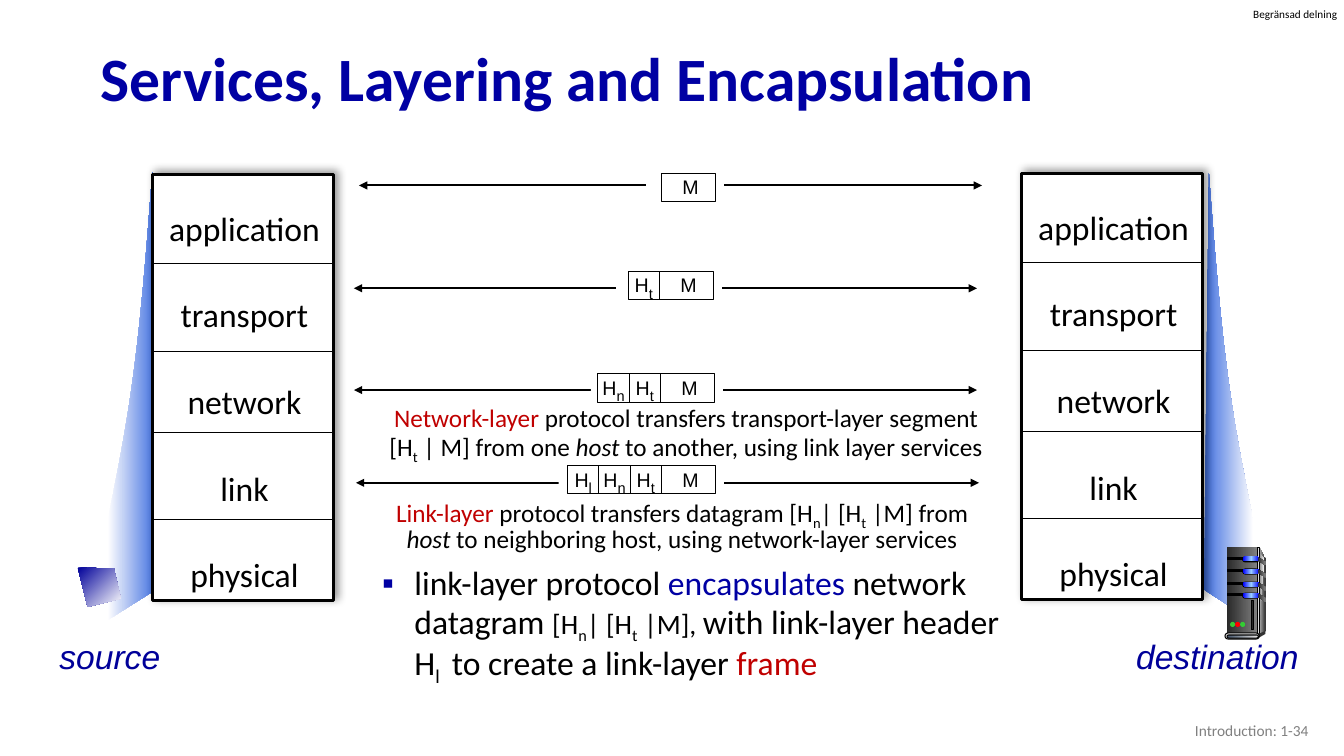
from lxml.etree import SubElement
from pptx import Presentation
from pptx.dml.color import RGBColor
from pptx.enum.shapes import MSO_CONNECTOR as Link, MSO_SHAPE as Preset
from pptx.enum.text import MSO_ANCHOR as Anchor, MSO_AUTO_SIZE as AutoSize, PP_ALIGN as Align
from pptx.oxml.ns import qn
from pptx.util import Inches, Pt

BLACK, WHITE, NAVY, INDIGO, RED = "000000", "FFFFFF", "0000A3", "000099", "C00000"
SUB = {"sub": True}


def color(value):
    return RGBColor.from_string(value)


def element(parent, tag, **attributes):
    return SubElement(parent, qn(tag), **attributes)


class SlideBuilder:
    def __init__(self, slide, font="Calibri", accent_font="Arial"):
        self.slide = slide
        self.shapes = slide.shapes
        self.font = font
        self.accent_font = accent_font

    def fill_text(self, frame, paragraphs, size, align=Align.LEFT, spacing=1.0, ink=BLACK,
                  font=None, anchor=Anchor.TOP, wrap=True, bullet=None, inset=None):
        frame.word_wrap = wrap
        frame.auto_size = AutoSize.NONE
        frame.vertical_anchor = anchor
        if inset is not None:
            frame.margin_left = frame.margin_right = Inches(inset)
            frame.margin_top = frame.margin_bottom = Inches(inset)
        for index, runs in enumerate(paragraphs):
            paragraph = frame.add_paragraph() if index else frame.paragraphs[0]
            if bullet:
                properties = paragraph._p.get_or_add_pPr()
                properties.set("marL", str(Inches(0.32)))
                properties.set("indent", str(Inches(-0.32)))
                element(element(properties, "a:buClr"), "a:srgbClr", val=NAVY)
                element(properties, "a:buChar", char=bullet)
            paragraph.alignment = align
            paragraph.line_spacing = spacing
            paragraph.space_before = Pt(0)
            for text, options in runs:
                run = paragraph.add_run()
                run.text = text
                run.font.name = font or self.font
                run.font.size = Pt(options.get("size", size))
                run.font.bold = options.get("bold", False)
                run.font.italic = options.get("italic", False)
                run.font.color.rgb = color(options.get("ink", ink))
                if options.get("sub"):
                    run._r.get_or_add_rPr().set("baseline", "-25000")

    def placeholder(self, index, left, top, width, height, runs, size, **style):
        holder = self.slide.placeholders[index]
        holder.left, holder.top = Inches(left), Inches(top)
        holder.width, holder.height = Inches(width), Inches(height)
        self.fill_text(holder.text_frame, [runs], size, **style)

    def text(self, left, top, width, height, paragraphs, size, **style):
        box = self.shapes.add_textbox(Inches(left), Inches(top), Inches(width), Inches(height))
        self.fill_text(box.text_frame, paragraphs, size, **style)

    def paint(self, shape, fill, line=None, angle=0):
        shape.shadow.inherit = False
        if isinstance(fill, str):
            shape.fill.solid()
            shape.fill.fore_color.rgb = color(fill)
        else:
            shape.fill.gradient()
            shape.fill.gradient_angle = (360 - angle) % 360
            stops = shape._element.spPr.find(".//" + qn("a:gsLst"))
            stops.clear()
            for index, shade in enumerate(fill):
                position = str(100000 * index // (len(fill) - 1))
                element(element(stops, "a:gs", pos=position), "a:srgbClr", val=shade)
        if line:
            shape.line.color.rgb = color(BLACK)
            shape.line.width = Pt(line)
        else:
            shape.line.fill.background()
        return shape

    def shape(self, left, top, width, height, fill, line=None, preset=Preset.RECTANGLE):
        shape = self.shapes.add_shape(preset, Inches(left), Inches(top), Inches(width), Inches(height))
        if preset == Preset.ROUNDED_RECTANGLE:
            shape.adjustments[0] = 0.5
        return self.paint(shape, fill, line)

    def outline(self, points, fill, angle=0):
        corners = [(Inches(x), Inches(y)) for x, y in points]
        builder = self.shapes.build_freeform(*corners[0])
        builder.add_line_segments(corners[1:], close=True)
        self.paint(builder.convert_to_shape(), fill, angle=angle)

    def line(self, x1, y1, x2, y2, width, arrows=False):
        link = self.shapes.add_connector(Link.STRAIGHT, Inches(x1), Inches(y1), Inches(x2), Inches(y2))
        link.line.color.rgb = color(BLACK)
        link.line.width = Pt(width)
        properties = link._element.spPr
        if arrows:
            for end in ("a:headEnd", "a:tailEnd"):
                element(properties.find(qn("a:ln")), end, type="triangle")
        element(properties, "a:effectLst")

    def beam(self, place, fill):
        curve = [(1.51, 1.71), (1.38, 3.49), (1.3, 4.04), (1.07, 5.15)]
        points = [(1.07, 6.15), (1.56, 5.84)]
        for step in range(25):
            t = step / 24
            weights = ((1 - t) ** 3, 3 * t * (1 - t) ** 2, 3 * t * t * (1 - t), t ** 3)
            points.append(tuple(sum(w * p[axis] for w, p in zip(weights, curve)) for axis in (0, 1)))
        self.outline([place(x, y) for x, y in points], fill)

    def stack(self, left, top, layers):
        frame = self.shape(left, top, 1.8, 4.23, WHITE, 2.25)
        effects = frame._element.spPr.find(qn("a:effectLst"))
        shadow = element(effects, "a:outerShdw", blurRad=str(Pt(6)), dist=str(Pt(3)),
                         dir=str(315 * 60000), algn="bl", rotWithShape="0")
        element(element(shadow, "a:srgbClr", val=BLACK), "a:alpha", val="40000")
        self.text(left - 0.05, top - 0.18, 1.93, 4.41, [[(layer, {})] for layer in layers],
                  24, align=Align.CENTER, spacing=2.15)
        for drop in (0.88, 1.76, 2.56, 3.42):
            self.line(left, top + drop, left + 1.8, top + drop, 0.5)

    def packet(self, arrow_left, arrow_y, top, right, mask_left, headers):
        header_width, message_width, height = 0.31, 0.54, 0.28
        left = right - message_width - header_width * len(headers)
        self.line(arrow_left, arrow_y, arrow_left + 6.18, arrow_y, 1.5, arrows=True)
        self.shape(mask_left, top - 0.08, right + 0.08 - mask_left, 0.43, WHITE)
        self.shape(left, top, right - left, height, WHITE, 0.75)
        labels = [(right - 0.25, [("M", {})])]
        for index, header in enumerate(headers):
            edge = left + header_width * (index + 1)
            self.line(edge, top, edge, top + height, 0.75)
            labels.append((edge - header_width / 2, [("H", {}), (header, {"size": 18, "sub": True})]))
        for center, runs in labels:
            self.text(center - 0.16, top - 0.03, 0.32, 0.33, [runs], 14, align=Align.CENTER,
                      font=self.accent_font, anchor=Anchor.MIDDLE, wrap=False)

    def server(self):
        pill, dark = Preset.ROUNDED_RECTANGLE, ("292929", "808080")
        self.outline([(12.49, 5.43), (12.55, 5.54), (12.55, 6.26), (12.47, 6.3)], ("DDDDDD", "333333"))
        self.shape(12.17, 5.43, 0.3, 0.87, dark)
        self.outline([(12.49, 5.48), (12.54, 5.55), (12.51, 5.9), (12.49, 6.27)], ("808080", "F8F8F8"))
        self.shape(12.47, 5.43, 0.02, 0.87, ("333333", "DDDDDD", "333333"), 0.75)
        for y in (5.53, 5.65, 5.78, 5.89):
            self.shape(12.17, y, 0.17, 0.02, BLACK, 0.75)
            self.shape(12.32, y - 0.01, 0.17, 0.06, BLACK, preset=pill)
            self.shape(12.33, y - 0.01, 0.16, 0.05, ("0000FF", "99CCFF", "0000FF"), preset=pill)
            self.outline([(12.48, y), (12.55, y + 0.04), (12.55, y + 0.08), (12.48, y + 0.03)], dark)
        self.outline([(12.48, 6.29), (12.48, 6.33), (12.55, 6.29), (12.55, 6.26)], "333333")
        self.shape(12.15, 6.28, 0.34, 0.06, "DDDDDD", 0.75, pill)
        self.shape(12.17, 6.3, 0.31, 0.03, ("44546A", "E7E6E6"), 0.75, pill)
        for index, light in enumerate(("33CC33", "FF0000", "33CC33")):
            self.shape(12.2 + 0.05 * index, 6.17, 0.05, 0.05, light, preset=Preset.OVAL)
        self.shape(12.41, 5.96, 0.02, 0.29, "292929", 0.75)


def main():
    deck = Presentation()
    deck.slide_width, deck.slide_height = Inches(13.33), Inches(7.5)
    page = SlideBuilder(deck.slides.add_slide(deck.slide_layouts[1]))

    page.placeholder(0, 0.9, 0.32, 11.5, 0.98, [("Services, Layering and Encapsulation", {"bold": True})],
                     44, ink=NAVY, spacing=0.9, anchor=Anchor.MIDDLE)
    small, small_sub = {"size": 20}, {"size": 20, "sub": True}
    page.placeholder(1, 3.69, 5.57, 6.38, 1.19, [
        ("link-layer protocol ", {}), ("encapsulates", {"ink": NAVY}), (" network datagram ", {}),
        ("[H", small), ("n", small_sub), ("| [H", small), ("t", small_sub), (" |M], ", small),
        ("with link-layer header H", {}), ("l ", SUB), (" to create a link-layer ", {}),
        ("frame", {"ink": RED})], 24, spacing=0.9, bullet="▪")

    page.beam(lambda x, y: (x, y), (WHITE, "3C6CDF"))
    page.beam(lambda x, y: (13.5 - x, y + 0.01), ("3C6CDF", WHITE))
    page.outline([(0.77, 5.63), (1.13, 5.64), (1.2, 5.94), (0.87, 6.02)], (INDIGO, WHITE), angle=45)
    page.server()

    layers = ("application", "transport", "network", "link", "physical")
    page.stack(1.51, 1.73, layers)
    page.stack(10.13, 1.72, layers)
    for row in ((3.56, 1.84, 1.72, 7.1, 6.41, ""), (3.51, 2.86, 2.69, 7.08, 6.11, "t"),
                (3.51, 3.87, 3.71, 7.09, 5.86, "nt"), (3.53, 4.79, 4.62, 7.1, 5.54, "lnt")):
        page.packet(*row)

    host = ("host", {"italic": True})
    captions = [
        (3.67, 3.99, 6.27, [
            ("Network-layer ", {"ink": RED}), ("protocol transfers transport-layer segment [H", {}),
            ("t", SUB), (" | M] from one ", {}), host, (" to another, using link layer services", {})]),
        (3.69, 4.9, 6.15, [
            ("Link-layer ", {"ink": RED}), ("protocol transfers datagram [H", {}), ("n", SUB),
            ("| [H", {}), ("t", SUB), (" |M] from ", {}), host,
            (" to neighboring host, using network-layer services", {})])]
    for left, top, width, runs in captions:
        page.text(left, top, width, 0.62, [runs], 18, align=Align.CENTER, spacing=0.85)

    for left, width, name in ((0.49, 1.2, "source"), (11.17, 1.83, "destination")):
        page.text(left, 6.26, width, 0.5, [[(name, {"italic": True})]], 24,
                  ink=INDIGO, font=page.accent_font, wrap=False)
    page.text(12.43, 0.07, 0.86, 0.13, [[("Begränsad delning", {})]], 8, inset=0, wrap=False)
    page.text(10.08, 7.05, 3, 0.4, [[("Introduction: 1-34", {})]], 11,
              align=Align.RIGHT, ink="808080", anchor=Anchor.MIDDLE)
    deck.save("out.pptx")


if __name__ == "__main__":
    main()
